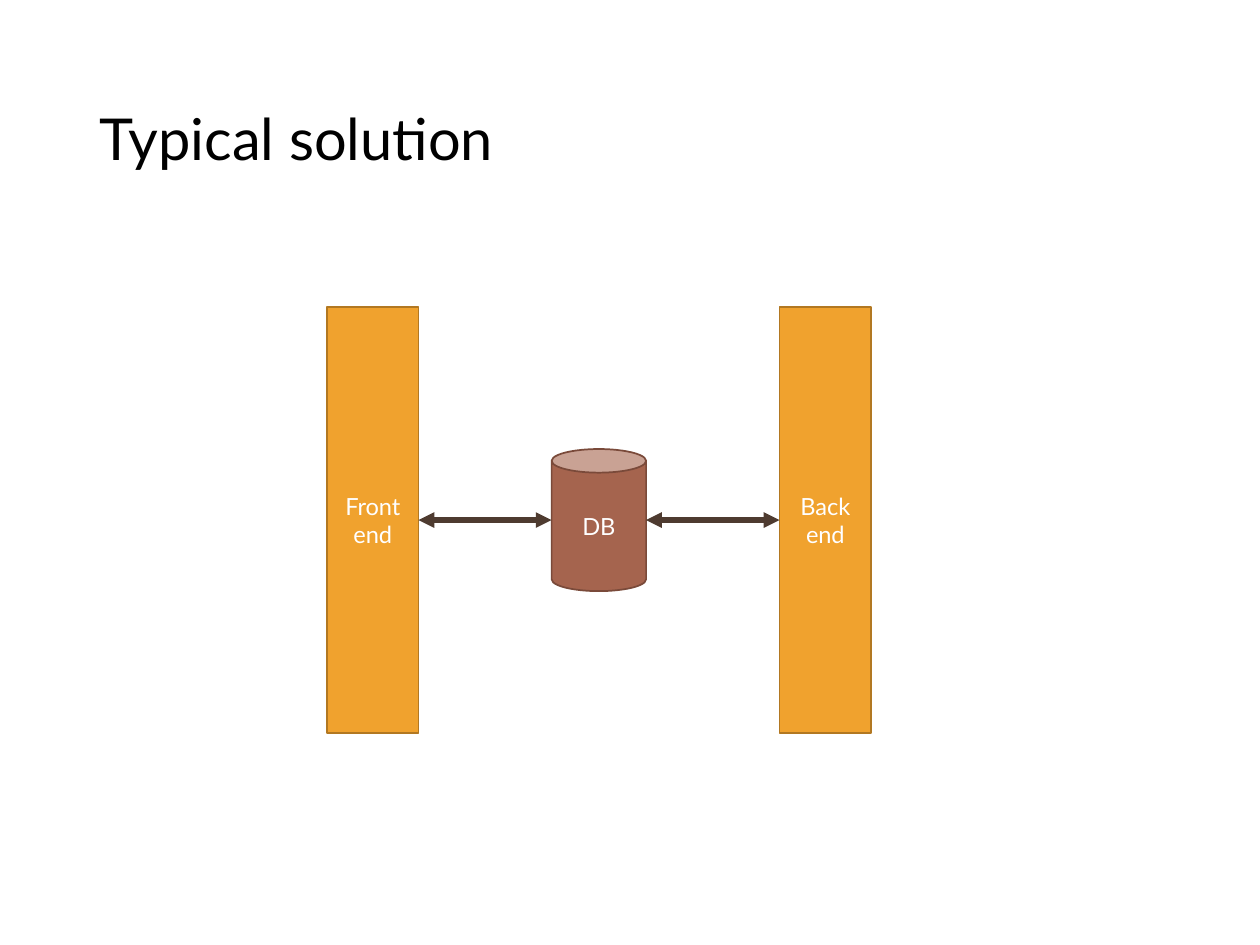
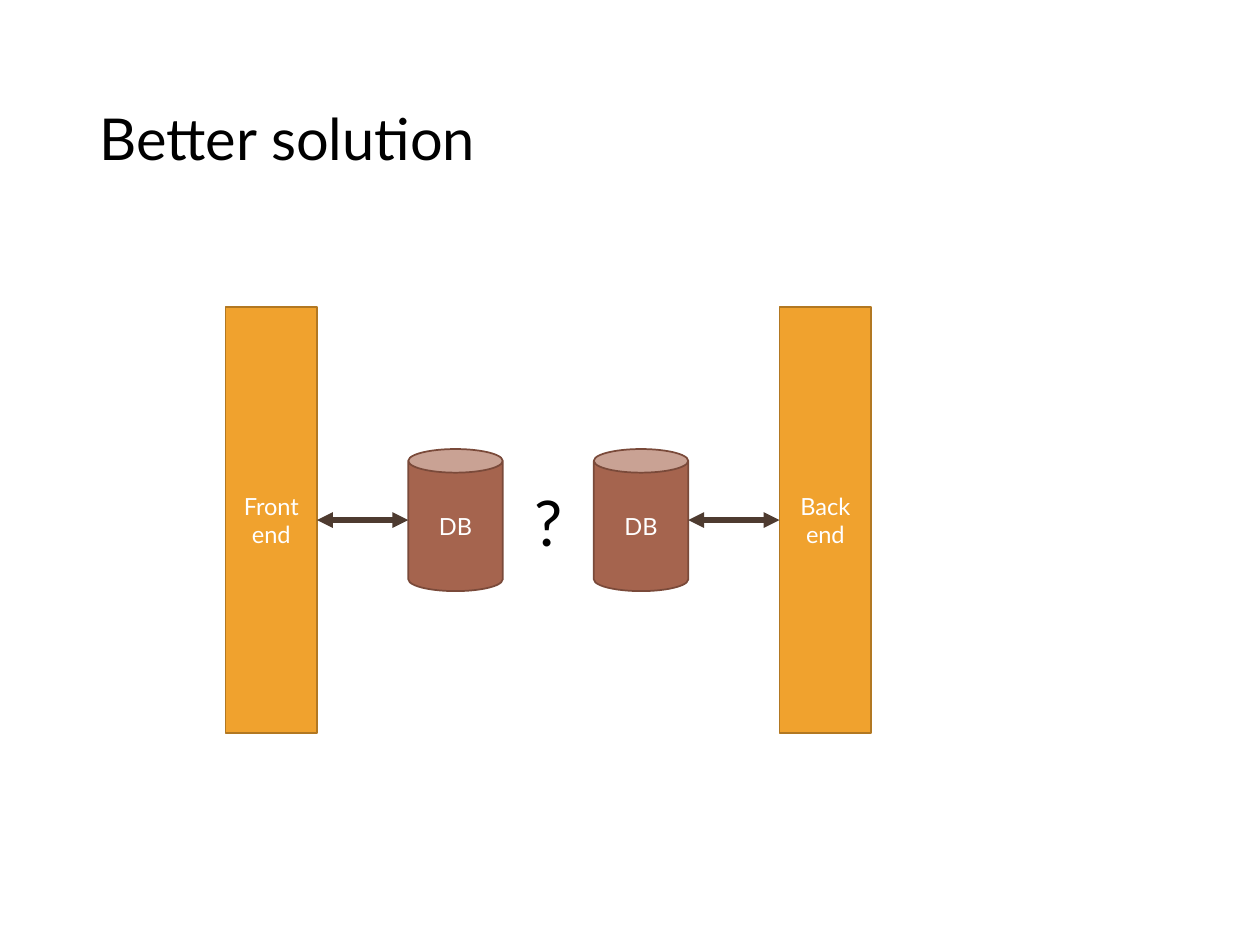
from lxml import etree
from pptx import Presentation
from pptx.dml.color import RGBColor
from pptx.enum import shapes, text
from pptx.oxml import ns
from pptx.util import Pt

# Content: left edges in points
SLIDES = [
    {"title": "Typical solution", "front": 186.8, "back": 445.4,
     "databases": [315.2], "question": None},
    {"title": "Better solution", "front": 128.8, "back": 445.4,
     "databases": [233.3, 339.3], "question": "?"},
]
FRONT_LABEL = ["Front end"]
BACK_LABEL = ["Back", "end"]
DB_LABEL = ["DB"]

# Shared style
FONT = "Lato"
BLACK = RGBColor(0x00, 0x00, 0x00)
WHITE = RGBColor(0xFF, 0xFF, 0xFF)
ORANGE = RGBColor(0xF0, 0xA2, 0x2E)
ORANGE_EDGE = RGBColor(0xB2, 0x78, 0x22)
BROWN = RGBColor(0xA5, 0x64, 0x4E)
BROWN_EDGE = RGBColor(0x7A, 0x4A, 0x3A)
ARROW = RGBColor(0x4E, 0x3B, 0x30)
TITLE_BOX = (49.7, 28.8, 620.6, 104.4)
MIDDLE = 297.2
TIER_SIZE = (52.4, 243.6)
DB_SIZE = (54, 81.2)
QUESTION_SIZE = (32.4, 51)


def place(box, left, top, width, height):
    box.left, box.top, box.width, box.height = map(Pt, (left, top, width, height))


def write(box, lines, size, color, align, anchor):
    frame = box.text_frame
    frame.word_wrap = True
    frame.auto_size = text.MSO_AUTO_SIZE.NONE
    frame.vertical_anchor = anchor
    for number, line in enumerate(lines):
        para = frame.add_paragraph() if number else frame.paragraphs[0]
        para.alignment = align
        span = para.add_run()
        span.text = line
        span.font.name = FONT
        span.font.size = Pt(size)
        span.font.color.rgb = color


def add_title(page, title):
    box = page.shapes.title
    place(box, *TITLE_BOX)
    write(box, [title], 33, BLACK, text.PP_ALIGN.LEFT, text.MSO_ANCHOR.MIDDLE)
    box.text_frame.paragraphs[0].line_spacing = 0.9


def add_block(page, kind, left, size, fill, edge, label):
    width, height = size
    box = page.shapes.add_shape(kind, Pt(left), Pt(MIDDLE - height / 2),
                                Pt(width), Pt(height))
    box.shadow.inherit = False
    box.fill.solid()
    box.fill.fore_color.rgb = fill
    box.line.color.rgb = edge
    box.line.width = Pt(1)
    write(box, label, 13.5, WHITE, text.PP_ALIGN.CENTER, text.MSO_ANCHOR.MIDDLE)
    return box


def add_tier(page, left, label):
    return add_block(page, shapes.MSO_SHAPE.RECTANGLE, left, TIER_SIZE,
                     ORANGE, ORANGE_EDGE, label)


def add_database(page, left):
    return add_block(page, shapes.MSO_SHAPE.CAN, left, DB_SIZE,
                     BROWN, BROWN_EDGE, DB_LABEL)


def add_arrow(page, start, end):
    arrow = page.shapes.add_connector(
        shapes.MSO_CONNECTOR.STRAIGHT, start, Pt(MIDDLE), end, Pt(MIDDLE))
    arrow.line.color.rgb = ARROW
    arrow.line.width = Pt(3)
    line = arrow.line._get_or_add_ln()
    for tip in ("a:headEnd", "a:tailEnd"):
        etree.SubElement(line, ns.qn(tip), type="triangle")
    etree.SubElement(arrow._element.spPr, ns.qn("a:effectLst"))
    return arrow


def add_question(page, mark, databases):
    # Centred in the gap between the two databases
    center = (databases[0] + DB_SIZE[0] + databases[1]) / 2
    width, height = QUESTION_SIZE
    box = page.shapes.add_textbox(Pt(center - width / 2), Pt(MIDDLE - 24.2),
                                  Pt(width), Pt(height))
    write(box, [mark], 36, BLACK, text.PP_ALIGN.CENTER, text.MSO_ANCHOR.TOP)


def build_slide(deck, content):
    page = deck.slides.add_slide(deck.slide_layouts[5])
    add_title(page, content["title"])

    # Tiers and databases
    front = add_tier(page, content["front"], FRONT_LABEL)
    back = add_tier(page, content["back"], BACK_LABEL)
    databases = [add_database(page, left) for left in content["databases"]]

    # Each tier talks to its nearest database
    first, last = databases[0], databases[-1]
    add_arrow(page, front.left + front.width, first.left).begin_connect(front, 3)
    add_arrow(page, last.left + last.width, back.left).end_connect(back, 1)

    if content["question"]:
        add_question(page, content["question"], content["databases"])


def main():
    deck = Presentation()
    deck.slide_width, deck.slide_height = Pt(720), Pt(540)
    for content in SLIDES:
        build_slide(deck, content)
    deck.save("out.pptx")


if __name__ == "__main__":
    main()
